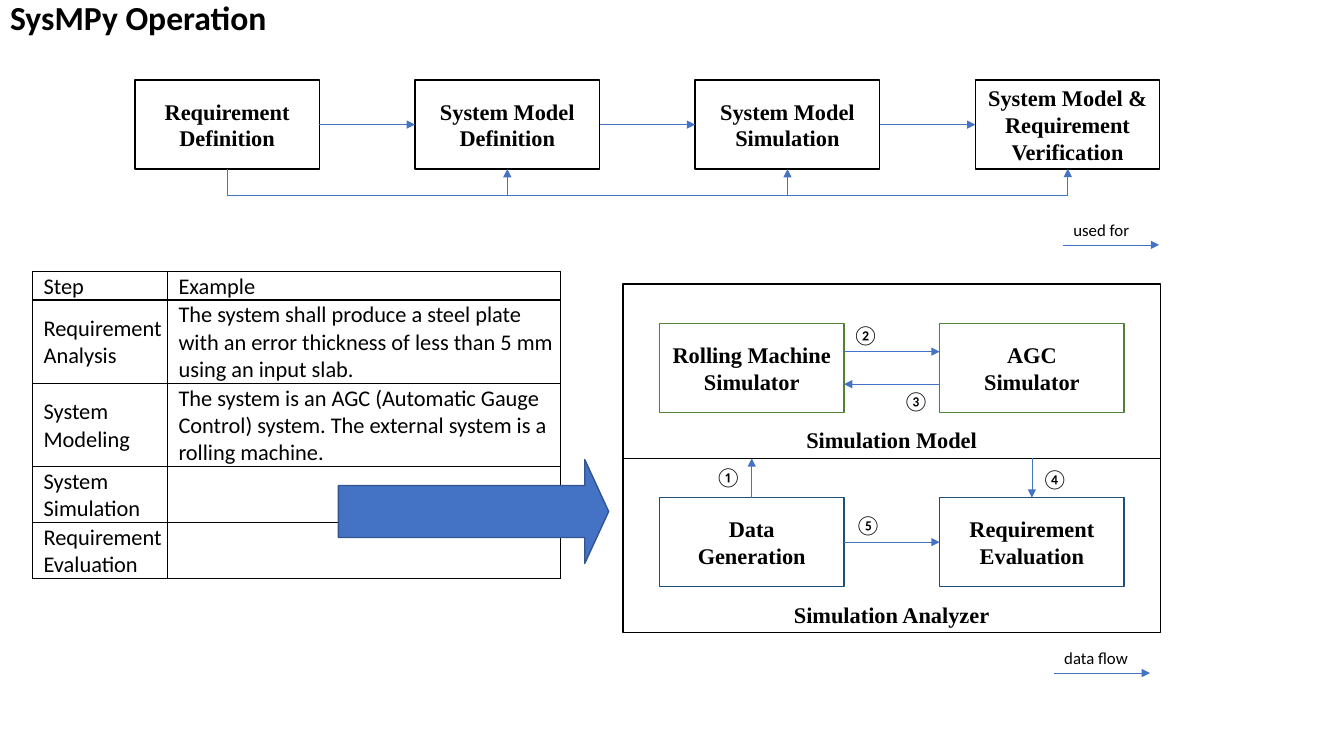
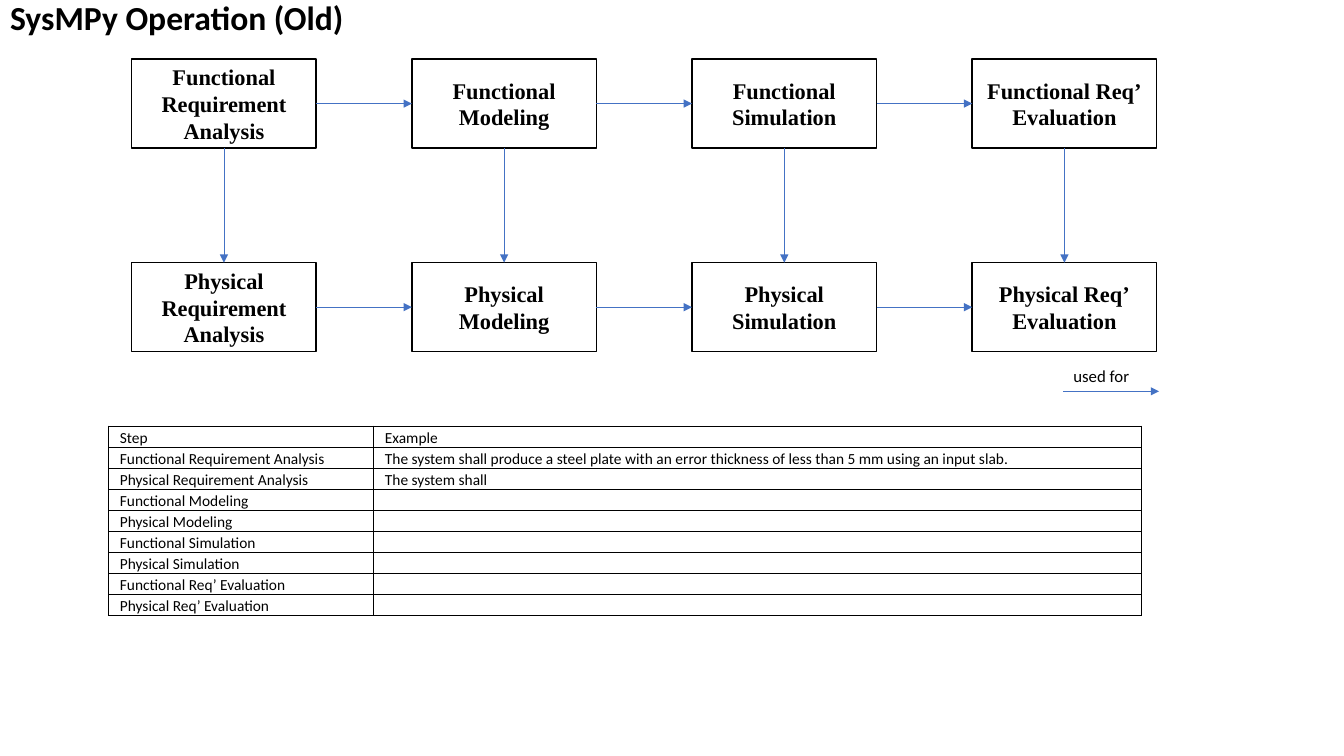
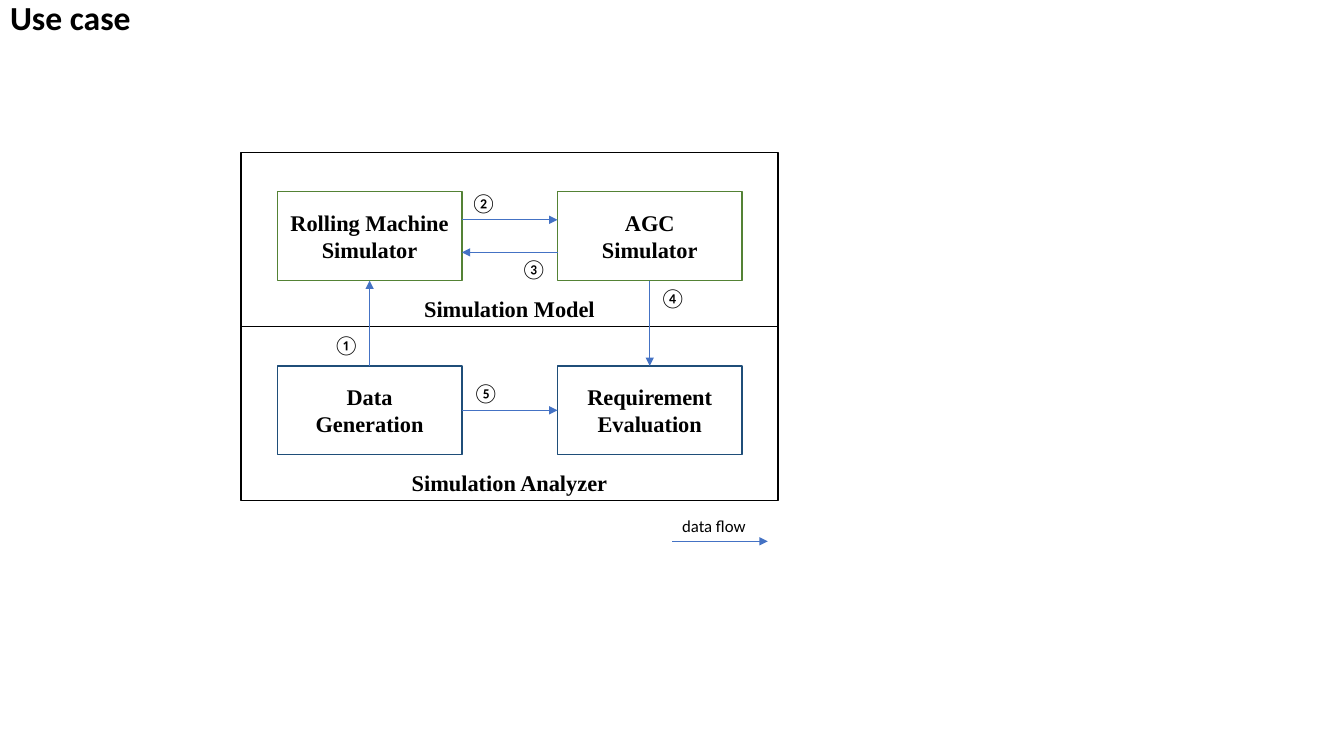
from lxml import etree
from pptx import Presentation
from pptx.dml.color import RGBColor
from pptx.enum.shapes import MSO_CONNECTOR, MSO_SHAPE
from pptx.enum.text import MSO_ANCHOR, MSO_AUTO_SIZE, PP_ALIGN
from pptx.oxml.ns import qn
from pptx.util import Cm, Pt

BLACK = RGBColor(0x00, 0x00, 0x00)
WHITE = RGBColor(0xFF, 0xFF, 0xFF)
BLUE = RGBColor(0x44, 0x72, 0xC4)
DARK_BLUE = RGBColor(0x32, 0x54, 0x91)
NAVY = RGBColor(0x1F, 0x4E, 0x79)
GREEN = RGBColor(0x54, 0x82, 0x35)
SANS, SERIF = "Calibri", "Times New Roman"
LEFT, CENTER = PP_ALIGN.LEFT, PP_ALIGN.CENTER
MIDDLE, BOTTOM = MSO_ANCHOR.MIDDLE, MSO_ANCHOR.BOTTOM
STRAIGHT, ELBOW = MSO_CONNECTOR.STRAIGHT, MSO_CONNECTOR.ELBOW
RECTANGLE, RIGHT_ARROW = MSO_SHAPE.RECTANGLE, MSO_SHAPE.RIGHT_ARROW
NO_AUTOFIT, FIT_SHAPE = MSO_AUTO_SIZE.NONE, MSO_AUTO_SIZE.SHAPE_TO_FIT_TEXT

BOX_W, BOX_H, PITCH = 4.65, 2.24, 7.06
GAP = PITCH - BOX_W
PANEL_W, PANEL_H = 13.54, 4.39
INSET_X, INSET_Y = 0.92, 0.99


def write(frame, lines, size, font=SANS, bold=False, align=LEFT):
    for index, line in enumerate(lines):
        paragraph = frame.add_paragraph() if index else frame.paragraphs[0]
        paragraph.alignment = align
        run = paragraph.add_run()
        run.text = line
        run.font.size = Pt(size)
        run.font.name = font
        run.font.bold = bold
        run.font.color.rgb = BLACK


def style_arrow(connector):
    connector.line.color.rgb = BLUE
    connector.line.width = Pt(0.5)
    properties = connector._element.spPr
    etree.SubElement(properties.find(qn("a:ln")), qn("a:tailEnd"), type="triangle")
    etree.SubElement(properties, qn("a:effectLst"))


prs = Presentation()
prs.slide_width, prs.slide_height = Cm(33.87), Cm(19.05)

slides = []
for heading in ("SysMPy Operation", "SysMPy Operation (Old)", "Use case"):
    slide = prs.slides.add_slide(prs.slide_layouts[5])
    title = slide.shapes.title
    title.left, title.top, title.width, title.height = Cm(0), Cm(0), Cm(29.21), Cm(0.97)
    title.text_frame.auto_size = NO_AUTOFIT
    title.text_frame.vertical_anchor = MIDDLE
    write(title.text_frame, [heading], 24, bold=True)
    title.text_frame.paragraphs[0].line_spacing = 0.9
    slides.append(slide)
operation, old_operation, use_case = slides

plate = "The system shall produce a steel plate with an error thickness of less than 5 mm using an input slab."
gauge = "The system is an AGC (Automatic Gauge Control) system. The external system is a rolling machine."
operation_rows = [
    ("Step", "Example"),
    ("Requirement Analysis", plate),
    ("System Modeling", gauge),
    ("System Simulation", ""),
    ("Requirement Evaluation", ""),
]
old_rows = [
    ("Step", "Example"),
    ("Functional Requirement Analysis", plate),
    ("Physical Requirement Analysis", "The system shall"),
    ("Functional Modeling", ""),
    ("Physical Modeling", ""),
    ("Functional Simulation", ""),
    ("Physical Simulation", ""),
    ("Functional Req’ Evaluation", ""),
    ("Physical Req’ Evaluation", ""),
]
tables = [
    (operation, 0.82, 6.84, (3.4, 9.91), (0.71, 2.07, 2.07, 1.38, 1.38), operation_rows, 16, MIDDLE),
    (old_operation, 2.74, 10.74, (6.68, 19.35), [0.53] * 9, old_rows, 11, BOTTOM),
]
for slide, x, y, widths, heights, rows, size, anchor in tables:
    steps = slide.shapes.add_table(
        len(rows), 2, Cm(x), Cm(y), Cm(sum(widths)), Cm(sum(heights))
    ).table
    steps.first_row = steps.horz_banding = False
    for column, width in zip(steps.columns, widths):
        column.width = Cm(width)
    for row, height, texts in zip(steps.rows, heights, rows):
        row.height = Cm(height)
        for cell, text in zip(row.cells, texts):
            cell.margin_left = Cm(0.28)
            cell.margin_right = cell.margin_top = Cm(0.03)
            cell.margin_bottom = Cm(0)
            cell.vertical_anchor = anchor
            for side in ("a:lnL", "a:lnR", "a:lnT", "a:lnB"):
                border = etree.SubElement(cell._tc.get_or_add_tcPr(), qn(side), w=str(Pt(1)))
                paint = etree.SubElement(border, qn("a:solidFill"))
                etree.SubElement(paint, qn("a:srgbClr"), val=str(BLACK))
            cell.fill.background()
            if text:
                write(cell.text_frame, [text], size)
            else:
                paragraph = cell.text_frame.paragraphs[0]._p
                etree.SubElement(paragraph, qn("a:endParaRPr"), sz=str(size * 100))

boxes, arrows, labels = [], [], []

step_rows = [
    (operation, 3.4, 2.02, [
        ["Requirement Definition"],
        ["System Model", "Definition"],
        ["System Model", "Simulation"],
        ["System Model & Requirement", "Verification"],
    ]),
    (old_operation, 3.32, 1.49, [
        ["Functional Requirement", "Analysis"],
        ["Functional Modeling"],
        ["Functional", "Simulation"],
        ["Functional Req’", "Evaluation"],
    ]),
    (old_operation, 3.32, 6.62, [
        ["Physical Requirement", "Analysis"],
        ["Physical Modeling"],
        ["Physical", "Simulation"],
        ["Physical Req’", "Evaluation"],
    ]),
]
for slide, left, top, names in step_rows:
    for index, name in enumerate(names):
        x = left + index * PITCH
        boxes.append((slide, x, top, BOX_W, BOX_H, name, WHITE, BLACK, MIDDLE))
        if index:
            arrows.append((slide, x - GAP, top + BOX_H / 2, x, top + BOX_H / 2))

for index in range(4):
    x = 3.32 + BOX_W / 2 + index * PITCH
    arrows.append((old_operation, x, 1.49 + BOX_H, x, 6.62))

feedback_y, feedback_drop = 2.02 + BOX_H, 0.66
for index in (1, 2):
    x = 3.4 + BOX_W / 2 + index * PITCH
    arrows.append((operation, x, feedback_y + feedback_drop, x, feedback_y))

panels = [
    ("Simulation Model", GREEN, [["Rolling Machine", "Simulator"], ["AGC", "Simulator"]]),
    ("Simulation Analyzer", NAVY, [["Data", "Generation"], ["Requirement", "Evaluation"]]),
]
legends = [(operation, 26.8, 6.17, "used for", 1.93), (old_operation, 26.8, 9.86, "used for", 1.93)]
simulations = [(operation, 15.7, 7.16, PANEL_H, 4.47), (use_case, 6.07, 3.84, INSET_Y + BOX_H, 3.25)]
for slide, left, top, model_edge, fourth_y in simulations:
    for level, (caption, outline, parts) in enumerate(panels):
        y = top + level * PANEL_H
        boxes.append((slide, left, y, PANEL_W, PANEL_H, [caption], None, BLACK, BOTTOM))
        for index, part in enumerate(parts):
            x = left + INSET_X + index * PITCH
            boxes.append((slide, x, y + INSET_Y, BOX_W, BOX_H, part, WHITE, outline, MIDDLE))
    near, far = INSET_X + BOX_W, INSET_X + PITCH
    first_x = INSET_X + BOX_W / 2
    analyzer_y = PANEL_H + INSET_Y
    flows = [
        ("①", 2.08, 4.42, first_x, analyzer_y, first_x, model_edge),
        ("②", 5.54, 0.84, near, 1.7, far, 1.7),
        ("③", 6.81, 2.51, far, 2.52, near, 2.52),
        ("④", 10.31, fourth_y, first_x + PITCH, model_edge, first_x + PITCH, analyzer_y),
        ("⑤", 5.6, 5.64, near, analyzer_y + BOX_H / 2, far, analyzer_y + BOX_H / 2),
    ]
    for number, label_x, label_y, x1, y1, x2, y2 in flows:
        labels.append((slide, left + label_x, top + label_y, 1.17, 0.86, number, 14))
        arrows.append((slide, left + x1, top + y1, left + x2, top + y2))
    legends.append((slide, left + 10.87, top + 9.8, "data flow", 2.13))

for slide, x, y, meaning, width in legends:
    arrows.append((slide, x, y, x + GAP, y))
    labels.append((slide, x, y - 0.76, width, 0.76, meaning, 12))

drawn = []
for slide, x, y, width, height, lines, fill, outline, anchor in boxes:
    box = slide.shapes.add_shape(RECTANGLE, Cm(x), Cm(y), Cm(width), Cm(height))
    box.shadow.inherit = False
    if fill is None:
        box.fill.background()
    else:
        box.fill.solid()
        box.fill.fore_color.rgb = fill
    box.line.color.rgb = outline
    box.line.width = Pt(1)
    box.text_frame.vertical_anchor = anchor
    write(box.text_frame, lines, 16, SERIF, True, CENTER)
    drawn.append(box)

for slide, x1, y1, x2, y2 in arrows:
    style_arrow(slide.shapes.add_connector(STRAIGHT, Cm(x1), Cm(y1), Cm(x2), Cm(y2)))

for slide, x, y, width, height, text, size in labels:
    label = slide.shapes.add_textbox(Cm(x), Cm(y), Cm(width), Cm(height))
    label.text_frame.word_wrap = False
    label.text_frame.auto_size = FIT_SHAPE
    write(label.text_frame, [text], size)

feedback = operation.shapes.add_connector(ELBOW, Cm(0), Cm(0), Cm(1), Cm(1))
feedback.begin_connect(drawn[3], 2)
feedback.end_connect(drawn[0], 2)
span, thickness = 3 * PITCH, 0.01
feedback.left = Cm(3.4 + BOX_W / 2 + span / 2)
feedback.top = Cm(feedback_y - span / 2)
feedback.width, feedback.height = Cm(thickness), Cm(span)
frame = feedback._element.spPr.find(qn("a:xfrm"))
frame.set("rot", "5400000")
frame.set("flipH", "1")
geometry = feedback._element.spPr.find(qn("a:prstGeom"))
guides = geometry.find(qn("a:avLst"))
bend = round(-feedback_drop / thickness * 100000)
etree.SubElement(guides, qn("a:gd"), name="adj1", fmla=f"val {bend}")
style_arrow(feedback)

pointer = operation.shapes.add_shape(RIGHT_ARROW, Cm(8.53), Cm(11.58), Cm(6.81), Cm(2.62))
pointer.shadow.inherit = False
pointer.adjustments[0] = 0.5
pointer.adjustments[1] = 0.23
pointer.fill.solid()
pointer.fill.fore_color.rgb = BLUE
pointer.line.color.rgb = DARK_BLUE
pointer.line.width = Pt(1)

prs.save("out.pptx")
